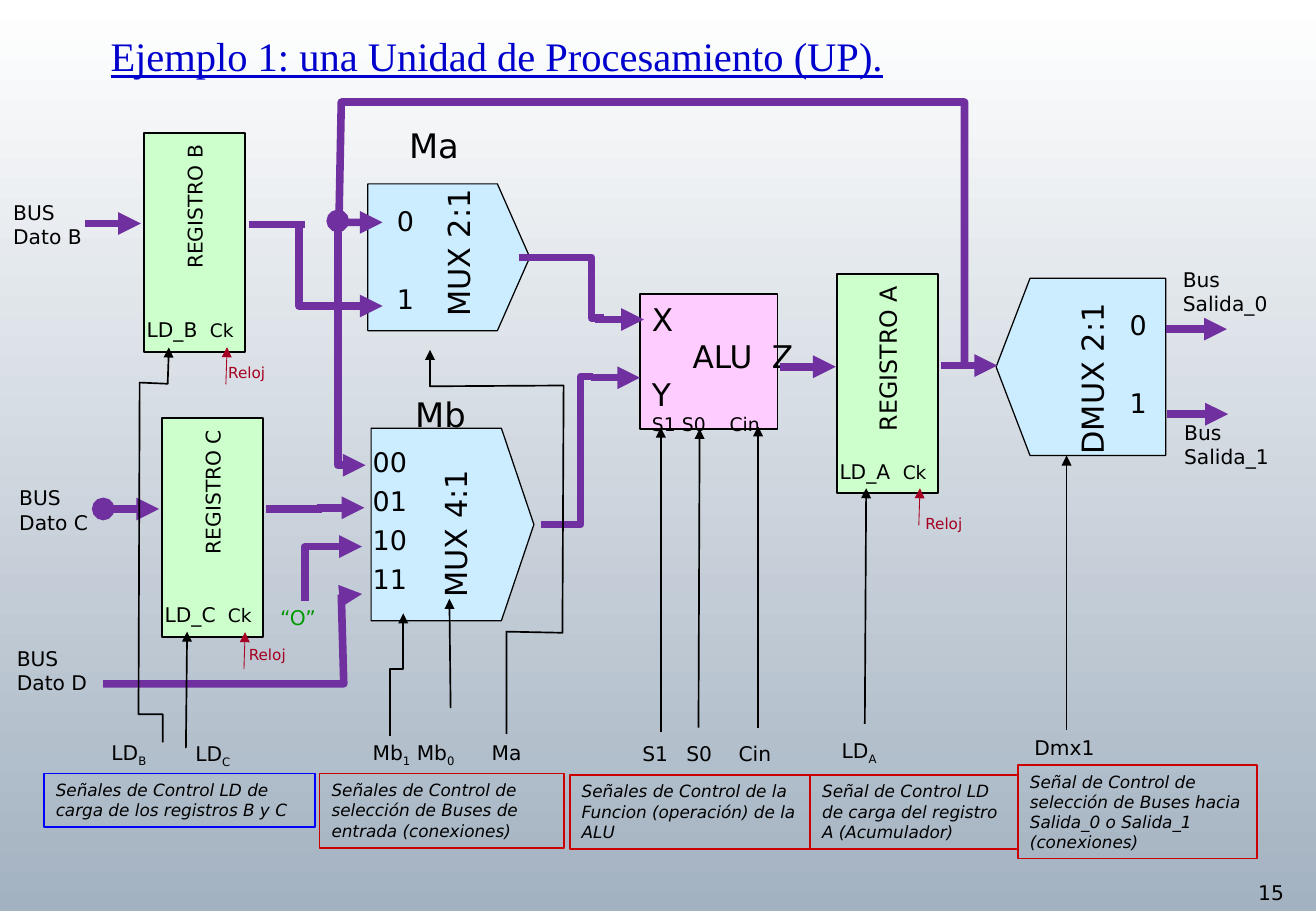
import pptx
import pptx.util
import pptx.dml.color
import pptx.enum.shapes
import pptx.enum.text
import pptx.oxml.ns
from lxml import etree

Pt = pptx.util.Pt
qn = pptx.oxml.ns.qn
SHAPES = pptx.enum.shapes.MSO_SHAPE
ALIGN = pptx.enum.text.PP_ALIGN
ANCHOR = pptx.enum.text.MSO_ANCHOR

COLORS = {
    "black": "000000", "title": "0000CC", "bus": "7030A0", "clock": "A50021",
    "constant": "009900", "register": "CCFFCC", "mux": "CCECFF", "alu": "FFCCFF",
    "blue": "0000FF", "red": "CC0000", "sky": "FFFFFF", "ground": "A3B2C1",
}
TITLE = "Ejemplo 1: una Unidad de Procesamiento (UP)."

# name, left, top, text size
REGISTERS = [("B", 85.3, 78.8, 12), ("C", 96, 247.7, 12), ("A", 496, 162.4, 14)]
REGISTER_WIDTH, REGISTER_HEIGHT = 60, 130
# name, left, top, width, height, rotation, centre of the name
MUXES = [
    ("MUX 2:1", 218, 109, 96, 87, 270, (271.4, 150)),
    ("MUX 4:1", 220, 253.8, 96.5, 114.2, 270, (269.6, 316.4)),
    ("DMUX 2:1", 590.4, 165, 100.5, 105, 90, (647, 224.6)),
]
# port names, left, top, extra space between lines
PORTS = [
    (["0", "1"], 228.2, 113.8, 23),
    (["00", "01", "10", "11"], 213.8, 257, 0),
    (["0", "1"], 662.4, 175.7, 23),
]
ALU = (379.4, 174.2, 81.4, 80)
# text, size, tab stops
ALU_LINES = [("X", 18.5, []), ("\tALU\tZ", 18.5, [24, 71]), ("Y", 18.5, []),
             ("S1 S0\tCin", 11.1, [46])]

# points, start end, finish end
BUSES = [
    ([(352.8, 189.4), (381.6, 189.4)], None, "triangle"),
    ([(350.6, 223.9), (379.4, 223.9)], None, "triangle"),
    ([(462.2, 217.4), (495.4, 217.4)], None, "triangle"),
    ([(558, 216.7), (591.1, 216.7)], None, "triangle"),
    ([(50.4, 132.5), (83.5, 132.5)], None, "triangle"),
    ([(147.6, 133.2), (180.7, 133.2)], None, None),
    ([(61.2, 301.7), (94.3, 301.7)], "oval", "triangle"),
    ([(157.7, 301.7), (190.8, 301.7)], None, None),
    ([(187.9, 301), (216, 301)], None, "triangle"),
    ([(177.1, 131), (177.1, 181.4), (226.8, 181.4)], None, "triangle"),
    ([(571.7, 215.3), (571.7, 60.5), (202.3, 60.5), (200.9, 131.8), (226.8, 131.8)],
     None, "triangle"),
    ([(200.2, 131), (200.2, 275.8), (216.7, 275.8)], "oval", "triangle"),
    ([(61.2, 405.4), (203.8, 405.4), (202.3, 352.1), (214.6, 352.1)], None, "triangle"),
    ([(180.7, 356.4), (180.7, 324), (214.6, 324)], None, "triangle"),
    ([(307.4, 152.6), (350.6, 152.6), (350.6, 188.6), (357.8, 188.6)], None, None),
    ([(320.4, 311), (344.2, 311), (344.2, 223.2), (351.4, 223.2)], None, None),
    ([(691.2, 195.1), (727.2, 195.1)], None, "triangle"),
    ([(691.9, 245.5), (727.9, 245.5)], None, "triangle"),
]
CONTROLS = [
    [(96.5, 440), (96.5, 423.4), (82.1, 423.4), (82.8, 226.8), (99.4, 227.5), (100.1, 206)],
    [(110.2, 443.5), (110.9, 374.4)],
    [(300.2, 435), (300.2, 374.4), (333.4, 375.1), (334.1, 228.5), (254.9, 229),
     (254.9, 207.4)],
    [(231.1, 436.3), (231.1, 396.7), (239, 396.7), (239, 363.6)],
    [(267.1, 419.8), (266.4, 355)],
    [(391.7, 434.2), (391.7, 253.4)],
    [(414, 431.3), (414.7, 254.2)],
    [(449.3, 431.3), (449.3, 252.7)],
    [(512.6, 429.1), (513.4, 289.4)],
    [(632.2, 432.7), (632.2, 270)],
]
# runs (every second one is a subscript), left, top, width, size, colour
LABELS = [
    (["BUS Dato B"], 0.7, 115.2, 60, 12, "black"),
    (["BUS Dato C"], 4.3, 284.4, 60, 12, "black"),
    (["BUS Dato D"], 2.9, 379.4, 60, 12, "black"),
    (["Bus Salida_0"], 694, 154.8, 81, 12, "black"),
    (["Bus Salida_1"], 694.8, 245.5, 81, 12, "black"),
    (["Ma"], 235.4, 70.6, 60, 20, "black"),
    (["Mb"], 239, 229.7, 60, 20, "black"),
    (["LD", "B"], 59, 435, 50, 12, "black"),
    (["LD", "C"], 108.7, 435.6, 50, 12, "black"),
    (["Mb", "1", " Mb", "0"], 213.8, 435, 72, 12, "black"),
    (["Ma"], 284.4, 435, 45, 12, "black"),
    (["S1\tS0\tCin"], 373.7, 435.6, 110, 12, "black"),
    (["LD", "A"], 491.8, 434.2, 50, 12, "black"),
    (["Dmx1"], 606, 432, 65, 12, "black"),
    (["“O”"], 159, 355, 45, 12, "constant"),
    (["Reloj"], 128.2, 211.7, 45, 9, "clock"),
    (["Reloj"], 140.4, 378.7, 45, 9, "clock"),
    (["Reloj"], 541.4, 301, 45, 9, "clock"),
    (["15"], 738.7, 518.4, 41, 12, "black"),
]
SIGNAL_TABS = [26, 57]
# text, left, top, width, height, border
CAPTIONS = [
    ("Señales de Control LD de carga de los registros B y C", 26, 458.6, 160.6, 31.7, "blue"),
    ("Señales de Control de selección de Buses de entrada (conexiones)",
     189.4, 458.6, 144.7, 44, "red"),
    ("Señales de Control de la Funcion (operación) de la ALU", 337.7, 459.4, 142.6, 44, "red"),
    ("Señal de Control LD de carga del registro A (Acumulador)",
     480.2, 459.4, 123.1, 44, "red"),
    ("Señal de Control de selección de Buses hacia Salida_0 o Salida_1 (conexiones)",
     603.4, 453.6, 141.8, 55.4, "red"),
]


def rgb(name):
    return pptx.dml.color.RGBColor.from_string(COLORS[name])


def style(paragraph, size, color="black", font="DejaVu Sans", align=ALIGN.LEFT):
    paragraph.font.name, paragraph.font.size = font, Pt(size)
    paragraph.font.color.rgb = rgb(color)
    paragraph.alignment = align


def set_tabs(paragraph, stops):
    tabs = etree.SubElement(paragraph._p.get_or_add_pPr(), qn("a:tabLst"))
    for stop in stops:
        etree.SubElement(tabs, qn("a:tab"), pos=str(Pt(stop)), algn="l")


def upright_frame(left, top, width, height):
    """Frame that covers the given area once it is turned by a quarter."""
    shift = (width - height) / 2
    return left + shift, top - shift, height, width


def add_block(slide, kind, frame, fill, line, weight=1, rotation=0):
    shape = slide.shapes.add_shape(kind, *map(Pt, frame))
    shape.shadow.inherit = False
    shape.rotation = rotation
    if fill:
        shape.fill.solid()
        shape.fill.fore_color.rgb = rgb(fill)
    else:
        shape.fill.background()
    shape.line.color.rgb, shape.line.width = rgb(line), Pt(weight)
    shape.text_frame.vertical_anchor = ANCHOR.TOP
    return shape


def add_label(slide, left, top, width, height=24):
    box = slide.shapes.add_textbox(Pt(left), Pt(top), Pt(width), Pt(height))
    box.text_frame.word_wrap = True
    return box


def add_route(slide, points, color, weight, start=None, finish="triangle"):
    corners = [(Pt(x), Pt(y)) for x, y in points]
    if len(corners) == 2:
        straight = pptx.enum.shapes.MSO_CONNECTOR.STRAIGHT
        route = slide.shapes.add_connector(straight, *corners[0], *corners[1])
    else:
        builder = slide.shapes.build_freeform(*corners[0])
        builder.add_line_segments(corners[1:], close=False)
        route = builder.convert_to_shape()
        route.fill.background()
    route.line.color.rgb, route.line.width = rgb(color), Pt(weight)
    properties = route.element.spPr
    etree.SubElement(properties, qn("a:effectLst"))
    for tag, end in (("a:headEnd", start), ("a:tailEnd", finish)):
        if end:
            etree.SubElement(properties.find(qn("a:ln")), qn(tag), type=end)


def add_register(slide, name, left, top, size):
    frame = upright_frame(left, top, REGISTER_WIDTH, REGISTER_HEIGHT)
    block = add_block(slide, SHAPES.RECTANGLE, frame, "register", "black", 1, 270)
    block.text_frame.vertical_anchor = ANCHOR.MIDDLE
    block.text_frame.text = f"REGISTRO {name}"
    style(block.text_frame.paragraphs[0], size, align=ALIGN.RIGHT)
    inputs = add_label(slide, left - 5.5, top + 106, 90).text_frame.paragraphs[0]
    style(inputs, 12)
    set_tabs(inputs, [37.5])
    inputs.add_run().text = f"LD_{name}\t"
    clock = inputs.add_run()
    clock.text, clock.font.size = "Ck", Pt(11)
    add_route(slide, [(left + 48.6, top + 149), (left + 49.3, top + 127)], "clock", 0.5)


def add_mux(slide, name, left, top, width, height, rotation, center):
    frame = upright_frame(left, top, width, height)
    add_block(slide, SHAPES.FLOWCHART_OFFPAGE_CONNECTOR, frame, "mux", "black", 0.75, rotation)
    label = add_label(slide, center[0] - 60, center[1] - 15, 120, 30)
    label.rotation = 270
    label.text_frame.vertical_anchor = ANCHOR.MIDDLE
    label.text_frame.text = name
    style(label.text_frame.paragraphs[0], 18, align=ALIGN.CENTER)


def add_lines(frame, texts):
    frame.text = "\n".join(texts)
    return frame.paragraphs


def main():
    presentation = pptx.Presentation()
    presentation.slide_width, presentation.slide_height = Pt(780), Pt(540)
    slide = presentation.slides.add_slide(presentation.slide_layouts[5])
    background = slide.background.fill
    background.gradient()
    background.gradient_angle = 270
    for stop, color in zip(background.gradient_stops, ("sky", "ground")):
        stop.color.rgb = rgb(color)

    title = slide.shapes.title
    title.left, title.top, title.width, title.height = map(Pt, (58.3, 15, 649.4, 36))
    title.text_frame.text = TITLE
    title.text_frame.vertical_anchor = ANCHOR.TOP
    style(title.text_frame.paragraphs[0], 24, "title", "Times New Roman")
    title.text_frame.paragraphs[0].font.underline = True

    for mux in MUXES:
        add_mux(slide, *mux)
    for names, left, top, gap in PORTS:
        box = add_label(slide, left, top, 38, 107)
        for index, paragraph in enumerate(add_lines(box.text_frame, names)):
            style(paragraph, 16)
            paragraph.line_spacing = 1.2
            paragraph.space_before = Pt(gap if index else 0)
    alu = add_block(slide, SHAPES.RECTANGLE, ALU, "alu", "black")
    alu.text_frame.word_wrap = False
    paragraphs = add_lines(alu.text_frame, [line[0] for line in ALU_LINES])
    for paragraph, (_, size, stops) in zip(paragraphs, ALU_LINES):
        style(paragraph, size)
        set_tabs(paragraph, stops)
    for register in REGISTERS:
        add_register(slide, *register)

    for points, start, finish in BUSES:
        add_route(slide, points, "bus", 4.5, start, finish)
    for points in CONTROLS:
        add_route(slide, points, "black", 1)
    for runs, left, top, width, size, color in LABELS:
        paragraph = add_label(slide, left, top, width).text_frame.paragraphs[0]
        style(paragraph, size, color)
        if "\t" in runs[0]:
            set_tabs(paragraph, SIGNAL_TABS)
        for index, text in enumerate(runs):
            run = paragraph.add_run()
            run.text = text
            if index % 2:
                run.font._element.set("baseline", "-25000")
    for text, left, top, width, height, border in CAPTIONS:
        box = add_block(slide, SHAPES.RECTANGLE, (left, top, width, height), None, border)
        box.text_frame.text = text
        style(box.text_frame.paragraphs[0], 10)
        box.text_frame.paragraphs[0].font.italic = True

    presentation.save("out.pptx")


if __name__ == "__main__":
    main()
